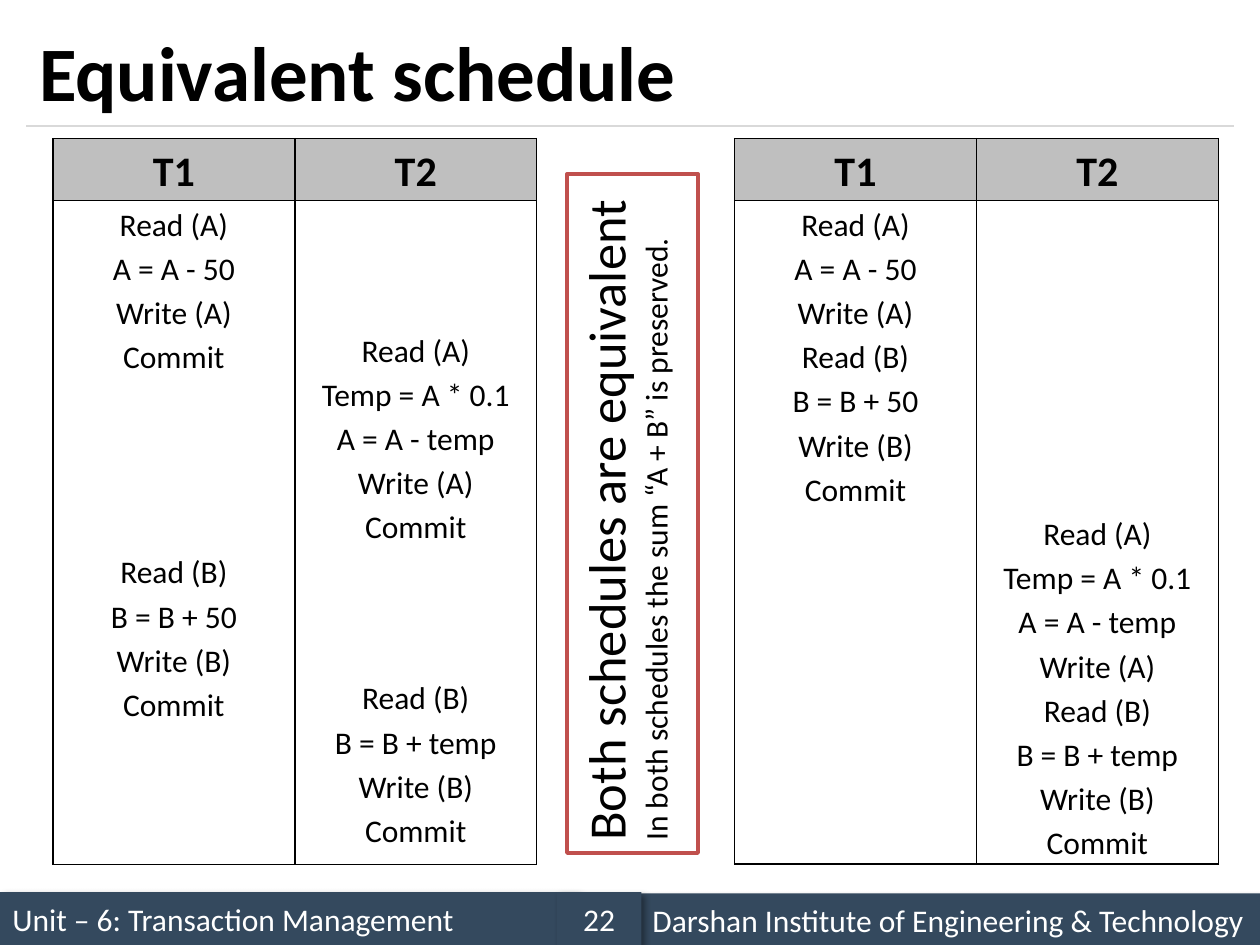
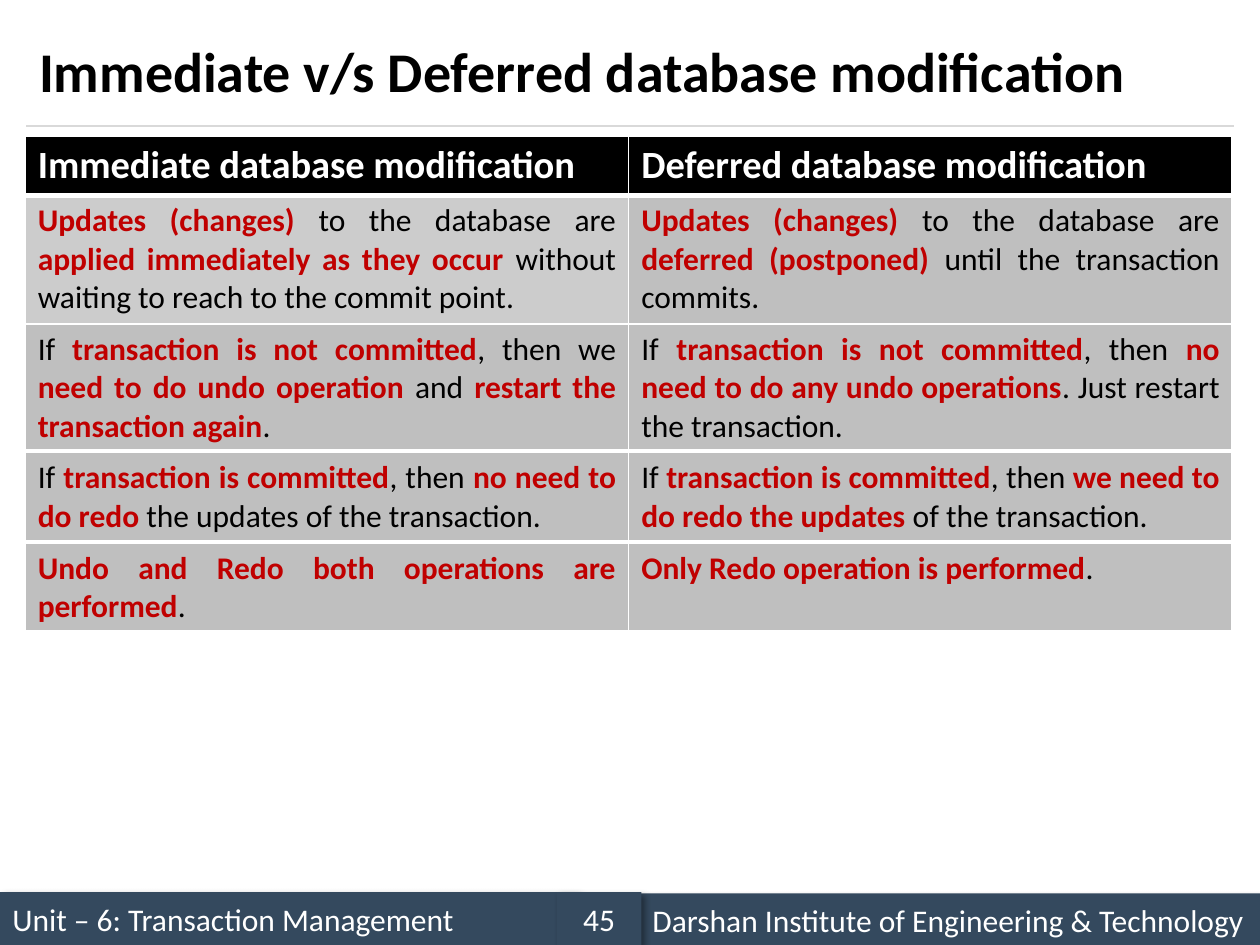
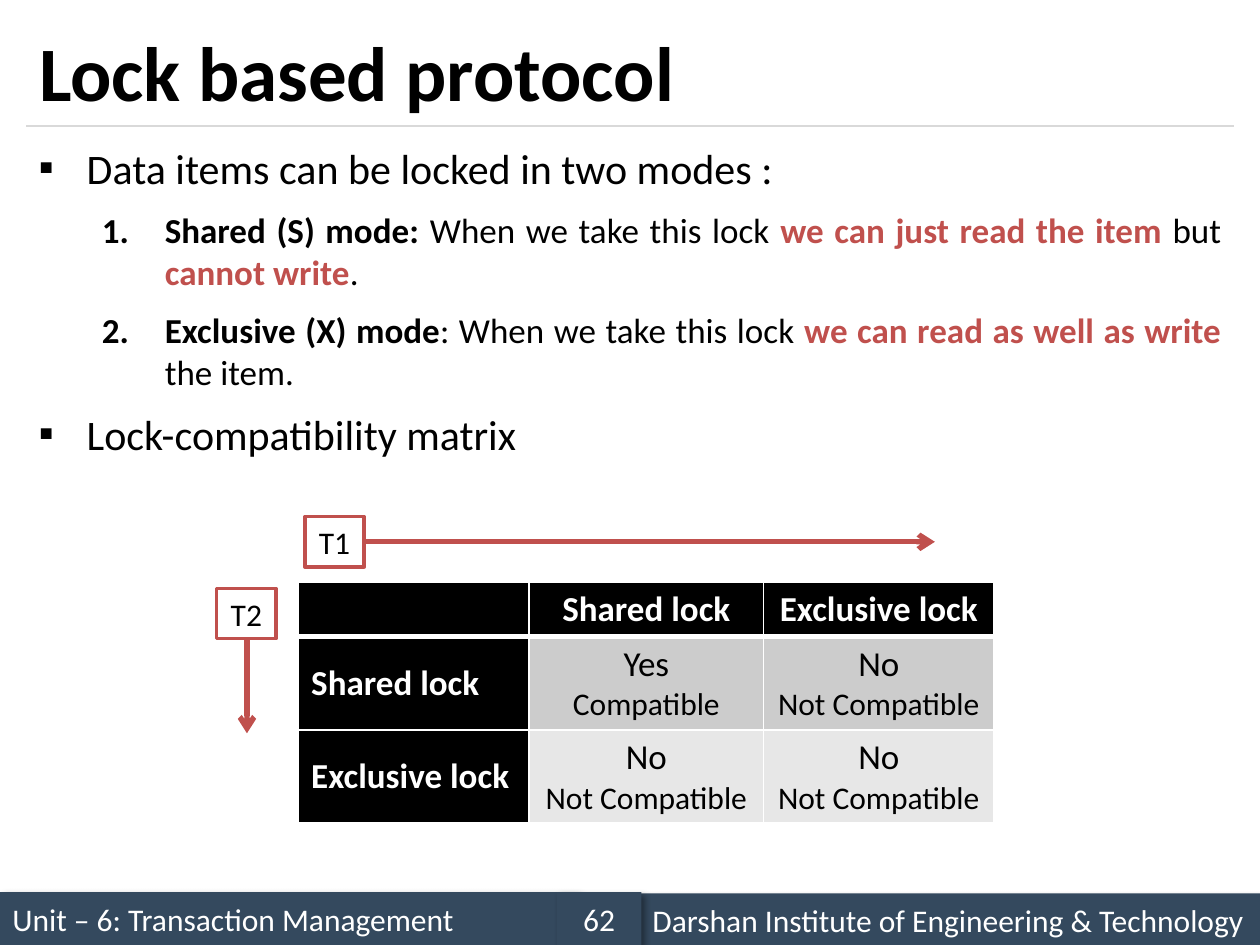
from dataclasses import dataclass

from lxml import etree
from pptx import Presentation
from pptx.dml.color import RGBColor
from pptx.enum.shapes import MSO_CONNECTOR, MSO_SHAPE
from pptx.enum.text import MSO_ANCHOR, PP_ALIGN
from pptx.oxml.ns import qn
from pptx.util import Inches, Pt

LEFT, CENTER, JUSTIFY = PP_ALIGN.LEFT, PP_ALIGN.CENTER, PP_ALIGN.JUSTIFY
TOP, MIDDLE = MSO_ANCHOR.TOP, MSO_ANCHOR.MIDDLE
RECT, STRAIGHT = MSO_SHAPE.RECTANGLE, MSO_CONNECTOR.STRAIGHT
TITLE_ONLY = 5


@dataclass(frozen=True)
class Theme:
    font: str = "Calibri"
    black: str = "000000"
    white: str = "FFFFFF"
    band: str = "34495E"
    rule: str = "D9D9D9"
    gray: str = "BFBFBF"
    mid: str = "CCCCCC"
    pale: str = "E7E7E7"
    red: str = "C00000"
    coral: str = "C0504D"
    title: int = 44
    long: int = 32
    big: int = 30
    lead: int = 24
    head: int = 22
    item: int = 20
    body: int = 18


T = Theme()


def rgb(color):
    return RGBColor.from_string(color)


def add(parent, tag, **attrs):
    node = etree.SubElement(parent, qn(tag))
    for key, value in attrs.items():
        node.set(key, str(value))
    return node


class Deck:
    def __init__(self):
        self.prs = Presentation()
        self.prs.slide_width, self.prs.slide_height = Inches(10), Inches(7.5)
        self.slide = None

    # Shared frame: title, rule and footer bands
    def start(self, title, number, size=T.title):
        layout = self.prs.slide_layouts[TITLE_ONLY]
        self.slide = self.prs.slides.add_slide(layout)
        self.band(0, 7.08, 4.58, "Unit – 6: Transaction Management")
        self.line((0.21, 1), (9.79, 1), T.rule, 0.75)
        self.band(5.08, 7.09, 4.92, "Darshan Institute of Engineering & Technology")
        self.band(4.42, 7.08, 0.67, str(number), CENTER)
        head = self.slide.shapes.title
        head.left, head.top = Inches(0.21), Inches(0.12)
        head.width, head.height = Inches(9.58), Inches(0.88)
        frame = head.text_frame
        frame.text = title
        frame.vertical_anchor = MIDDLE
        para = frame.paragraphs[0]
        para.alignment = LEFT
        self.style(para.runs[0], size, T.black, True)

    def band(self, x, y, w, text, align=LEFT):
        shape = self.box(x, y, w, 0.42, T.band)
        props = shape.fill._xPr
        for old in props.findall(qn("a:effectLst")):
            props.remove(old)
        glow = add(add(props, "a:effectLst"), "a:outerShdw", blurRad=Pt(4),
                   dist=Pt(3), dir=45 * 60000, algn="tl", rotWithShape=0)
        add(add(glow, "a:srgbClr", val=T.black), "a:alpha", val=40000)
        shape.text_frame.vertical_anchor = MIDDLE
        self.put(shape.text_frame, [text], color=T.white, align=align)

    # Text: parts between bars are bold and take the mark colour
    def style(self, run, size, color, bold=False):
        font = run.font
        font.name, font.size, font.bold = T.font, Pt(size), bold
        font.color.rgb = rgb(color)

    def put(self, frame, lines, size=T.body, color=T.black, align=LEFT,
            bold=False, mark=T.red, space=1.0):
        for i, line in enumerate(lines):
            text, pts = line if isinstance(line, tuple) else (line, size)
            para = frame.paragraphs[0] if i == 0 else frame.add_paragraph()
            para.alignment, para.line_spacing = align, space
            for j, part in enumerate(text.split("|")):
                if part:
                    run = para.add_run()
                    run.text = part
                    strong = j % 2 == 1
                    self.style(run, pts, mark if strong else color, bold or strong)

    def box(self, x, y, w, h, fill, edge=None):
        shape = self.slide.shapes.add_shape(
            RECT, Inches(x), Inches(y), Inches(w), Inches(h))
        shape.shadow.inherit = False
        shape.fill.solid()
        shape.fill.fore_color.rgb = rgb(fill)
        if edge:
            shape.line.color.rgb = rgb(edge)
            shape.line.width = Pt(2)
        else:
            shape.line.fill.background()
        shape.text_frame.word_wrap = True
        shape.text_frame.vertical_anchor = TOP
        return shape

    def label(self, x, y, text):
        shape = self.box(x, y, 0.47, 0.4, T.white, T.coral)
        self.put(shape.text_frame, [text], align=CENTER)

    def side(self, x, y, w, h, lines):
        frame = self.box(x, y, w, h, T.white, T.coral).text_frame
        frame._txBody.bodyPr.set("vert", "vert270")
        self.put(frame, lines)

    def line(self, start, end, color, width, arrow=False):
        link = self.slide.shapes.add_connector(
            STRAIGHT, *[Inches(v) for v in (*start, *end)])
        link.line.color.rgb = rgb(color)
        link.line.width = Pt(width)
        if arrow:
            add(link.line._get_or_add_ln(), "a:tailEnd", type="arrow")
        add(link._element.spPr, "a:effectLst")

    def list(self, x, y, w, h, items):
        frame = self.slide.shapes.add_textbox(
            Inches(x), Inches(y), Inches(w), Inches(h)).text_frame
        frame.word_wrap = True
        lines = [(text, T.item if num else T.lead) for text, num in items]
        self.put(frame, lines, mark=T.coral)
        for i, (para, (_, num)) in enumerate(zip(frame.paragraphs, items)):
            props = para._p.get_or_add_pPr()
            left, hang = (1, 0.5) if num else (0.38, 0.38)
            props.set("marL", str(Inches(left)))
            props.set("indent", str(-Inches(hang)))
            para.space_before = Pt(9 if i else 0)
            if num:
                para.alignment = JUSTIFY
                para.runs[0].font.color.rgb = rgb(T.black)
                add(props, "a:buFont", typeface="+mj-lt")
                add(props, "a:buAutoNum", type="arabicPeriod")
            else:
                add(props, "a:buFont", typeface=T.font)
                add(props, "a:buChar", char="▪")

    # Tables
    def grid(self, x, y, cols, rows):
        frame = self.slide.shapes.add_table(
            len(rows), len(cols), Inches(x), Inches(y),
            Inches(sum(cols)), Inches(sum(rows)))
        table = frame.table
        table.first_row = table.horz_banding = False
        for col, width in zip(table.columns, cols):
            col.width = Inches(width)
        for row, height in zip(table.rows, rows):
            row.height = Inches(height)
        return table

    def cell(self, cell, lines, fill, edge=T.white, top=1, bottom=1, **look):
        props = cell._tc.get_or_add_tcPr()
        for side, width in zip("LRTB", (1, 1, top, bottom)):
            ln = add(props, "a:ln" + side, w=Pt(width))
            if width:
                add(add(ln, "a:solidFill"), "a:srgbClr", val=edge)
            else:
                add(ln, "a:noFill")
        cell.fill.solid()
        cell.fill.fore_color.rgb = rgb(fill)
        self.put(cell.text_frame, lines, **look)

    # Two columns of steps; each step cell is (gap above, lines)
    def plan(self, x, heights, steps):
        table = self.grid(x, 1.1, [1.92] * 2, heights)
        heads = [(0, ["T1"]), (0, ["T2"])]
        for r, row in enumerate([heads] + steps):
            for c, (gap, lines) in enumerate(row):
                cell = table.cell(r, c)
                cell.margin_left = cell.margin_right = Inches(0.07)
                cell.margin_top, cell.margin_bottom = Inches(gap), 0
                self.cell(cell, lines, T.white if r else T.gray, T.black,
                          top=int(r < 2), bottom=int(r != 1),
                          size=T.body if r else T.lead, bold=r == 0,
                          align=CENTER, space=1.15)

    def pairs(self, y, rows, heights, titled):
        table = self.grid(0.2, y, [4.79] * 2, heights)
        for r, row in enumerate(rows):
            for c, text in enumerate(row):
                bottom = 1 if r else 3
                if titled and r == 0:
                    self.cell(table.cell(r, c), [text], T.black, bottom=bottom,
                              size=T.head, color=T.white, bold=True)
                else:
                    fill = T.mid if titled and c == 0 else T.gray
                    self.cell(table.cell(r, c), [text], fill, bottom=bottom,
                              align=JUSTIFY)

    def matrix(self, x, y, names, marks):
        table = self.grid(x, y, [1.83, 1.86, 1.83], [0.43, 0.74, 0.74])
        white = dict(size=T.item, color=T.white, bold=True)
        for c, name in enumerate([""] + names):
            self.cell(table.cell(0, c), [name], T.black, bottom=3,
                      align=CENTER, **white)
        for r, (name, row) in enumerate(zip(names, marks), 1):
            side = table.cell(r, 0)
            side.vertical_anchor = MIDDLE
            self.cell(side, [name], T.black, top=3 if r == 1 else 1, **white)
            for c, (answer, note) in enumerate(row, 1):
                self.cell(table.cell(r, c), [(answer, T.item), note],
                          T.mid if r == 1 else T.pale,
                          top=3 if r == 1 else 1, align=CENTER)


def equal(deck):
    deck.start("Equivalent schedule", 22)
    take = ["Read (A)", "A = A - 50", "Write (A)"]
    give = ["Read (B)", "B = B + 50", "Write (B)"]
    cut = ["Read (A)", "Temp = A * 0.1", "A = A - temp", "Write (A)"]
    gain = ["Read (B)", "B = B + temp", "Write (B)"]
    end = ["Commit"]
    gap = 1.0
    deck.plan(0.42, [0.49, 2.76, 2.51], [
        [(0, take + end), (gap, cut + end)],
        [(0, give + end), (gap, gain + end)]])
    deck.plan(5.83, [0.49, 2.44, 2.81], [
        [(0, take + give + end), (0, [])],
        [(0, []), (0, cut + gain + end)]])
    deck.side(4.5, 1.38, 1.04, 5.39, [
        ("Both schedules are equivalent", T.big),
        "In both schedules the sum “A + B” is preserved."])


def modes(deck):
    deck.start("Immediate v/s Deferred database modification", 45, T.long)
    blocks = [
        ([0.47, 1.0], [
            ("Immediate database modification", "Deferred database modification"),
            ("|Updates (changes) |to the database are |applied immediately as they "
             "occur |without waiting to reach to the commit point.",
             "|Updates (changes) |to the database are |deferred (postponed) |until "
             "the transaction commits.")]),
        ([1.0], [
            ("If |transaction is not committed|, then we |need to do undo operation "
             "|and |restart the transaction again|.",
             "If |transaction is not committed|, then |no need to do any undo "
             "operations|. Just restart the transaction.")]),
        ([0.7], [
            ("If |transaction is committed|, then |no need to do redo| the updates "
             "of the transaction.",
             "If |transaction is committed|, then |we need to do redo the updates| "
             "of the transaction.")]),
        ([0.7], [
            ("|Undo and Redo both operations are performed|.",
             "|Only Redo operation is performed|.")]),
    ]
    y = 1.08
    for heights, rows in blocks:
        deck.pairs(y, rows, heights, titled=len(rows) > 1)
        y += sum(heights) + 0.02


def locks(deck):
    deck.start("Lock based protocol", 62)
    deck.list(0.21, 1.08, 9.58, 5.83, [
        ("Data items can be locked in two modes :", False),
        ("|Shared (S) mode:| When we take this lock |we can just read the item "
         "|but |cannot write|.", True),
        ("|Exclusive (X) mode|: When we take this lock |we can read as well as "
         "write |the item.", True),
        ("Lock-compatibility matrix", False)])
    yes, no = ("Yes", "Compatible"), ("No", "Not Compatible")
    deck.matrix(2.37, 4.62, ["Shared lock", "Exclusive lock"],
                [[yes, no], [no, no]])
    deck.label(2.42, 4.1, "T1")
    deck.label(1.72, 4.67, "T2")
    deck.line((2.89, 4.3), (7.42, 4.3), T.coral, 3, arrow=True)
    deck.line((1.96, 5.07), (1.96, 5.82), T.coral, 3, arrow=True)


def main():
    deck = Deck()
    for build in (equal, modes, locks):
        build(deck)
    deck.prs.save("out.pptx")


if __name__ == "__main__":
    main()
